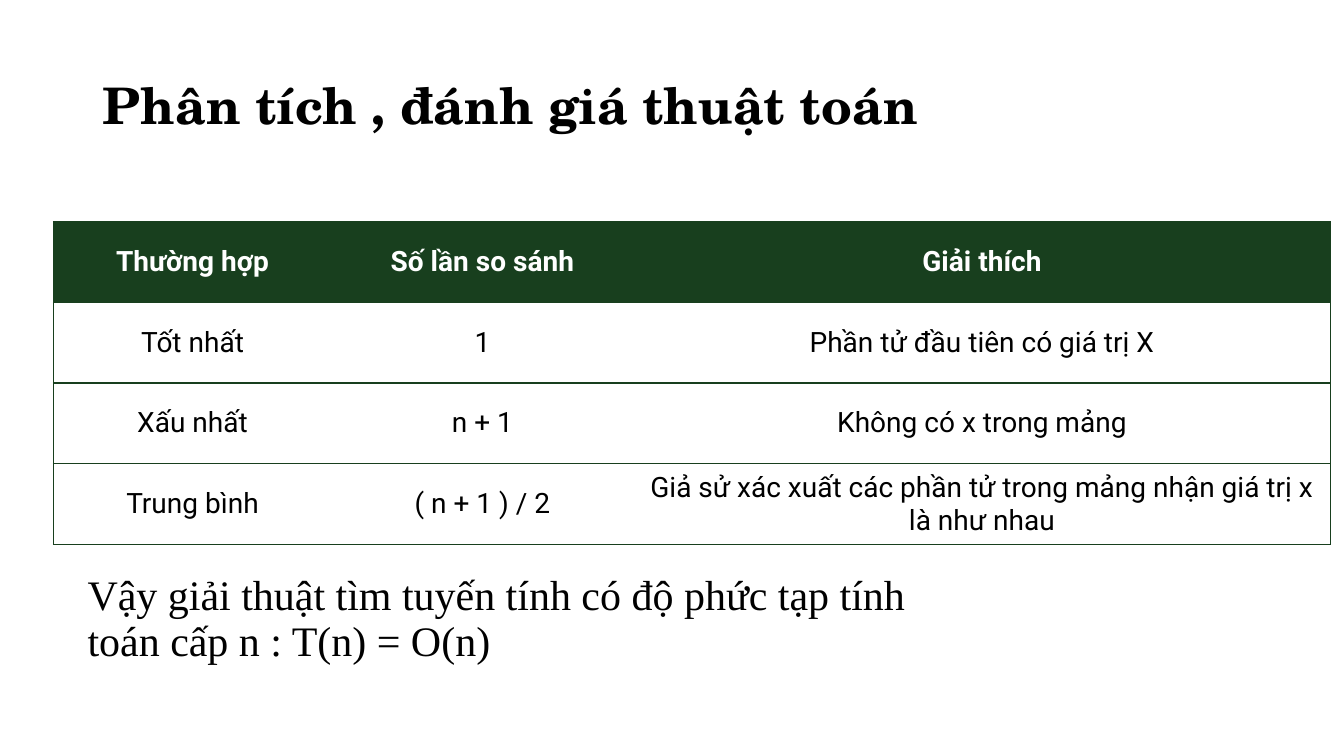
from lxml.etree import SubElement
from pptx import Presentation
from pptx.dml.color import RGBColor
from pptx.enum.text import MSO_ANCHOR as Anchor, PP_ALIGN as Align
from pptx.oxml.ns import qn
from pptx.util import Inches, Pt

BLACK = RGBColor(0x00, 0x00, 0x00)
WHITE = RGBColor(0xFF, 0xFF, 0xFF)
GREEN = RGBColor(0x18, 0x3F, 0x1E)

CASES = [
    ("Thường hợp", "Số lần so sánh", "Giải thích"),
    ("Tốt nhất", "1", "Phần tử đầu tiên có giá trị X"),
    ("Xấu nhất", "n + 1", "Không có x trong mảng"),
    ("Trung bình", "( n + 1 ) / 2",
     "Giả sử xác xuất các phần tử trong mảng nhận giá trị x là như nhau"),
]


def write(frame, text, font, size, color=BLACK, bold=False,
          align=Align.LEFT, anchor=Anchor.TOP, spacing=1.0):
    frame.word_wrap = True
    frame.vertical_anchor = anchor
    para = frame.paragraphs[0]
    para.alignment = align
    para.line_spacing = spacing
    span = para.add_run()
    span.text = text
    span.font.name = font
    span.font.size = Pt(size)
    span.font.bold = bold
    span.font.color.rgb = color


class Slide:
    """Draws text and tables on one page in a shared style."""

    def __init__(self, deck, table_font="Roboto", accent=GREEN):
        self.page = deck.slides.add_slide(deck.slide_layouts[6])
        self.table_font = table_font
        self.accent = accent

    def text(self, text, left, top, width, height, **style):
        box = self.page.shapes.add_textbox(
            Inches(left), Inches(top), Inches(width), Inches(height))
        write(box.text_frame, text, spacing=0.9, **style)

    def border(self, cell, side, visible):
        line = SubElement(cell._tc.get_or_add_tcPr(), qn(f"a:ln{side}"), w=str(Pt(1)))
        if visible:
            fill = SubElement(line, qn("a:solidFill"))
            SubElement(fill, qn("a:srgbClr"), val=str(self.accent))
        else:
            SubElement(line, qn("a:noFill"))

    def table(self, rows, left, top, widths, row_height):
        table = self.page.shapes.add_table(
            len(rows), len(widths), Inches(left), Inches(top),
            Inches(sum(widths)), Inches(row_height * len(rows))).table
        for column, width in zip(table.columns, widths):
            column.width = Inches(width)
        last = len(widths) - 1
        for r, row in enumerate(rows):
            header = r == 0
            for c, text in enumerate(row):
                cell = table.cell(r, c)
                edges = {"L": c == 0, "R": c == last, "T": True, "B": True}
                for side, visible in edges.items():
                    self.border(cell, side, visible)
                cell.fill.solid()
                cell.fill.fore_color.rgb = self.accent if header else WHITE
                cell.vertical_anchor = Anchor.MIDDLE
                write(cell.text_frame, text, self.table_font, 20,
                      color=WHITE if header else BLACK, bold=header,
                      align=Align.CENTER, anchor=Anchor.MIDDLE)


def main():
    deck = Presentation()
    deck.slide_width = Inches(13.33)
    deck.slide_height = Inches(7.5)
    slide = Slide(deck)
    slide.text("Phân tích , đánh giá thuật toán", 0.92, 0.29, 11.36, 1.56,
               font="TeX Gyre Schola", size=36, bold=True, anchor=Anchor.MIDDLE)
    slide.text("Vậy giải thuật tìm tuyến tính có độ phức tạp tính toán cấp n : T(n) = O(n)",
               0.77, 5.65, 9.09, 1.29, font="Times New Roman", size=30)
    slide.table(CASES, 0.53, 2.2, widths=(2.76, 2.99, 6.92), row_height=0.8)
    deck.save("out.pptx")


if __name__ == "__main__":
    main()
